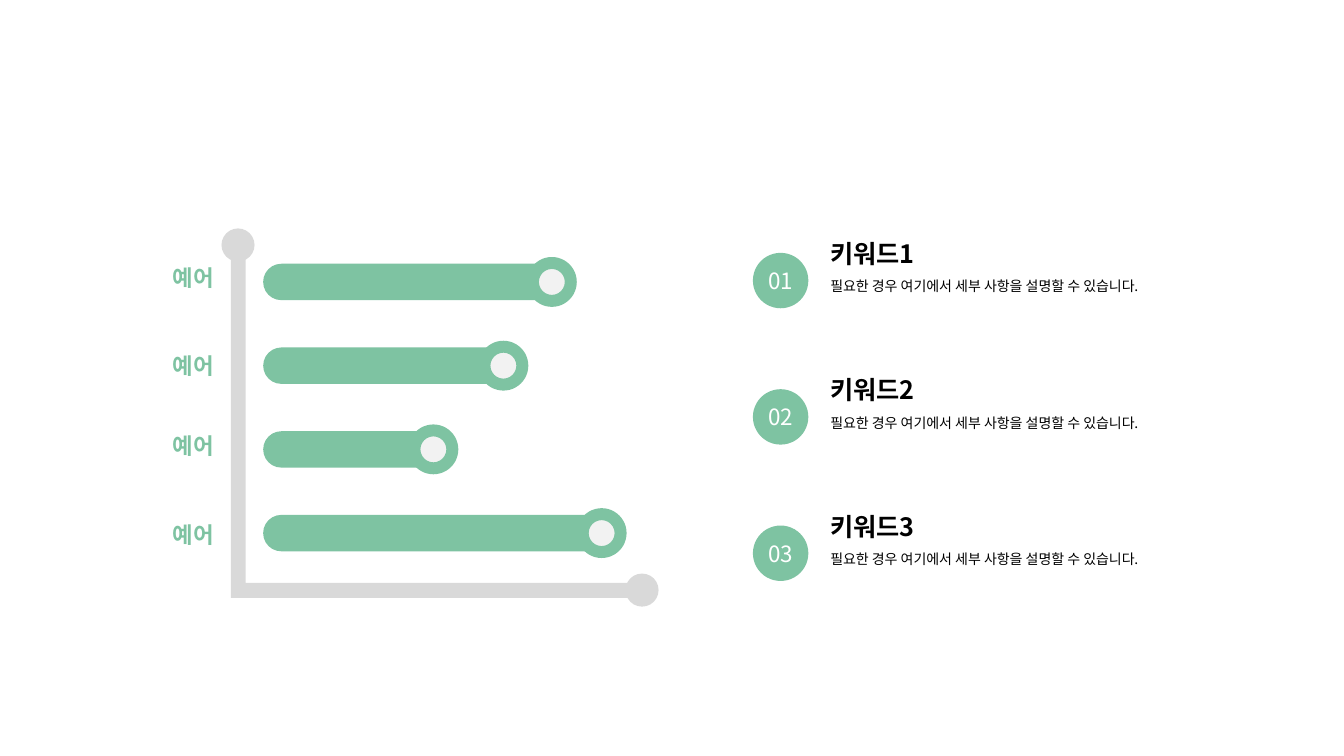
from lxml import etree
from pptx import Presentation
from pptx.dml.color import RGBColor
from pptx.enum.shapes import MSO_SHAPE
from pptx.enum.text import MSO_ANCHOR, PP_ALIGN
from pptx.oxml.ns import qn
from pptx.util import Pt

OVAL, BAR, RING = MSO_SHAPE.OVAL, MSO_SHAPE.ROUNDED_RECTANGLE, MSO_SHAPE.DONUT
LEFT, CENTER, RIGHT = PP_ALIGN.JUSTIFY, PP_ALIGN.CENTER, PP_ALIGN.RIGHT
MIDDLE = MSO_ANCHOR.MIDDLE

FONT = "Noto Sans CJK KR"
COLORS = {"green": "7EC3A2", "axis": "D9D9D9", "dot": "F2F2F2",
          "white": "FFFFFF", "black": "000000"}

# Label, top of the label, horizontal centre of the ring
BARS = [("예어", 185, 394.2), ("예어", 247.7, 359.6),
        ("예어", 305.3, 309.6), ("예어", 368.6, 429.8)]
BAR_LEFT, BAR_HEIGHT = 188, 26
FIRST_BAR_MIDDLE, BAR_STEP = 201.4, 59.8
RING_SIZE, DOT_SIZE = 35.6, 27

DETAIL = "필요한 경우 여기에서 세부 사항을 설명할 수 있습니다."
KEYWORDS = [("01", "키워드1", DETAIL), ("02", "키워드2", DETAIL), ("03", "키워드3", DETAIL)]
KEYWORD_STEP = 97.4


def rgb(color):
    return RGBColor.from_string(COLORS[color])


def paint(shape, color):
    shape.shadow.inherit = False
    shape.fill.solid()
    shape.fill.fore_color.rgb = rgb(color)
    shape.line.fill.background()
    return shape


def add_filled(slide, kind, left, top, width, height, color):
    shape = slide.shapes.add_shape(kind, Pt(left), Pt(top), Pt(width), Pt(height))
    return paint(shape, color)


def add_circle(slide, center_x, center_y, size, color, kind=OVAL):
    return add_filled(slide, kind, center_x - size / 2, center_y - size / 2,
                      size, size, color)


def write(frame, text, size, color, align, bold=False):
    paragraph = frame.paragraphs[0]
    paragraph.text = text
    paragraph.alignment = align
    font = paragraph.font
    font.name, font.size, font.bold = FONT, Pt(size), bold
    font.color.rgb = rgb(color)
    # Korean glyphs take the East Asian typeface
    defaults = paragraph._p.pPr.find(qn("a:defRPr"))
    etree.SubElement(defaults, qn("a:ea"), typeface=FONT)


def add_text(slide, left, top, width, height, text, size, color, align, bold=False):
    box = slide.shapes.add_textbox(Pt(left), Pt(top), Pt(width), Pt(height))
    box.text_frame.word_wrap = True
    write(box.text_frame, text, size, color, align, bold)


def add_axes(slide):
    outline = slide.shapes.build_freeform(Pt(458.6), Pt(427))
    corners = [(164.9, 427), (164.9, 175), (175.4, 175), (175.4, 416.4), (458.6, 416.4)]
    outline.add_line_segments([(Pt(x), Pt(y)) for x, y in corners], close=True)
    paint(outline.convert_to_shape(), "axis")
    for center_x, center_y in [(170, 175), (458.6, 421.5)]:
        add_circle(slide, center_x, center_y, 23.6, "axis")


def add_bar(slide, middle, label, label_top, ring_x):
    bar = add_filled(slide, BAR, BAR_LEFT, middle - BAR_HEIGHT / 2,
                     ring_x + 9 - BAR_LEFT, BAR_HEIGHT, "green")
    bar.adjustments[0] = 0.5
    add_circle(slide, ring_x, middle, DOT_SIZE, "dot")
    ring = add_circle(slide, ring_x, middle, RING_SIZE, "green", RING)
    ring.adjustments[0] = 0.24
    add_text(slide, 79.2, label_top, 80.6, 26.6, label, 16, "green", RIGHT, bold=True)


def add_keyword(slide, offset, number, keyword, detail):
    badge = add_circle(slide, 557.6, 200.4 + offset, 39.6, "green")
    frame = badge.text_frame
    frame.margin_left = frame.margin_right = frame.margin_top = frame.margin_bottom = 0
    frame.vertical_anchor = MIDDLE
    frame.word_wrap = False
    write(frame, number, 16, "white", CENTER)
    add_text(slide, 586, 166.8 + offset, 164, 28.8, keyword, 18, "black", LEFT, bold=True)
    add_text(slide, 586, 194.8 + offset, 266.4, 19.4, detail, 10, "black", LEFT)


def main():
    deck = Presentation()
    deck.slide_width, deck.slide_height = Pt(960), Pt(540)
    slide = deck.slides.add_slide(deck.slide_layouts[6])
    add_axes(slide)
    for row, bar in enumerate(BARS):
        add_bar(slide, FIRST_BAR_MIDDLE + row * BAR_STEP, *bar)
    for row, keyword in enumerate(KEYWORDS):
        add_keyword(slide, row * KEYWORD_STEP, *keyword)
    deck.save("out.pptx")


if __name__ == "__main__":
    main()
